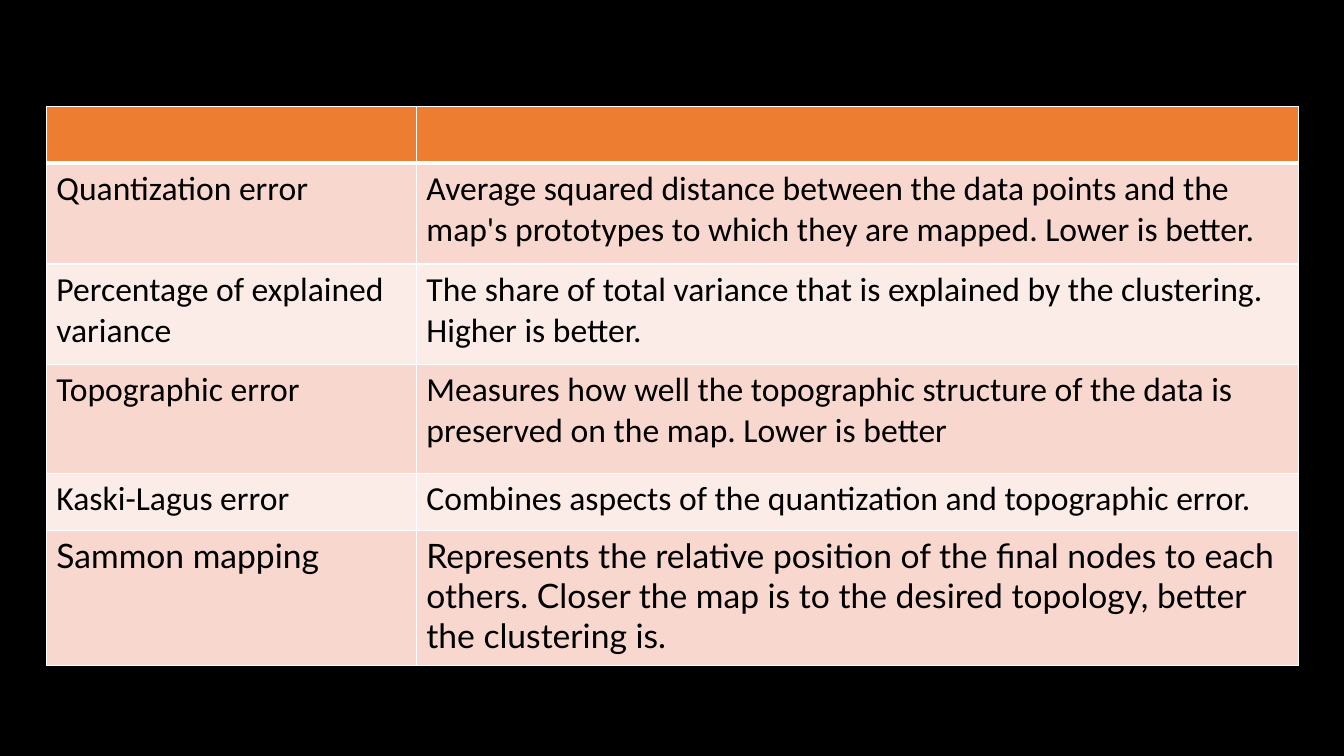
from dataclasses import dataclass
from lxml.etree import SubElement as Sub
from pptx import Presentation as Deck
from pptx.dml.color import RGBColor as Rgb
from pptx.oxml.ns import qn
from pptx.util import Inches, Pt


@dataclass(frozen=True)
class Theme:
    back: str = "000000"
    ink: str = "000000"
    head: str = "ED7D31"
    bands: tuple = ("F8D7CE", "FCECE8")
    rule: str = "FFFFFF"
    thin: int = 1
    thick: int = 3
    size: int = 24
    font: str = "Calibri"
    last: str = "Lato"


THEME = Theme()
COLS = (3.67, 8.75)
ROWS = (0.56, 1, 1, 1.08, 0.56, 1.34)
ERRORS = (
    ("Quantization error",
     "Average squared distance between the data points and the map's "
     "prototypes to which they are mapped. Lower is better."),
    ("Percentage of explained variance",
     "The share of total variance that is explained by the clustering. "
     "Higher is better."),
    ("Topographic error",
     "Measures how well the topographic structure of the data is "
     "preserved on the map. Lower is better"),
    ("Kaski-Lagus error",
     "Combines aspects of the quantization and topographic error."),
    ("Sammon mapping",
     "Represents the relative position of the final nodes to each others. "
     "Closer the map is to the desired topology, better the clustering is."),
)


def paint(fill, color):
    fill.solid()
    fill.fore_color.rgb = Rgb.from_string(color)


def frame(cell, top, base):
    props = cell._tc.get_or_add_tcPr()
    sides = {"L": THEME.thin, "R": THEME.thin, "T": top, "B": base}
    for side, width in sides.items():
        line = Sub(props, qn(f"a:ln{side}"), w=str(Pt(width)))
        Sub(Sub(line, qn("a:solidFill")), qn("a:srgbClr"), val=THEME.rule)


def write(cell, text, face):
    run = cell.text_frame.paragraphs[0].add_run()
    run.text = text
    font = run.font
    font.name = face
    font.size = Pt(THEME.size)
    font.bold = False
    font.color.rgb = Rgb.from_string(THEME.ink)


def add_grid(slide, left, top, width, height):
    box = [Inches(n) for n in (left, top, width, height)]
    grid = slide.shapes.add_table(len(ROWS), len(COLS), *box).table
    for col, span in zip(grid.columns, COLS):
        col.width = Inches(span * width / sum(COLS))
    for row, span in zip(grid.rows, ROWS):
        row.height = Inches(span * height / sum(ROWS))
    for cell in grid.rows[0].cells:
        frame(cell, THEME.thin, THEME.thick)
        paint(cell.fill, THEME.head)
    for i, texts in enumerate(ERRORS):
        face = THEME.last if i == len(ERRORS) - 1 else THEME.font
        edge = THEME.thin if i else THEME.thick
        for cell, text in zip(grid.rows[i + 1].cells, texts):
            frame(cell, edge, THEME.thin)
            paint(cell.fill, THEME.bands[i % 2])
            write(cell, text, face)


def main():
    deck = Deck()
    deck.slide_width = Inches(13.33)
    deck.slide_height = Inches(7.5)
    slide = deck.slides.add_slide(deck.slide_layouts[6])
    paint(slide.background.fill, THEME.back)
    add_grid(slide, 0.46, 1.06, sum(COLS), sum(ROWS))
    deck.save("out.pptx")


if __name__ == "__main__":
    main()
